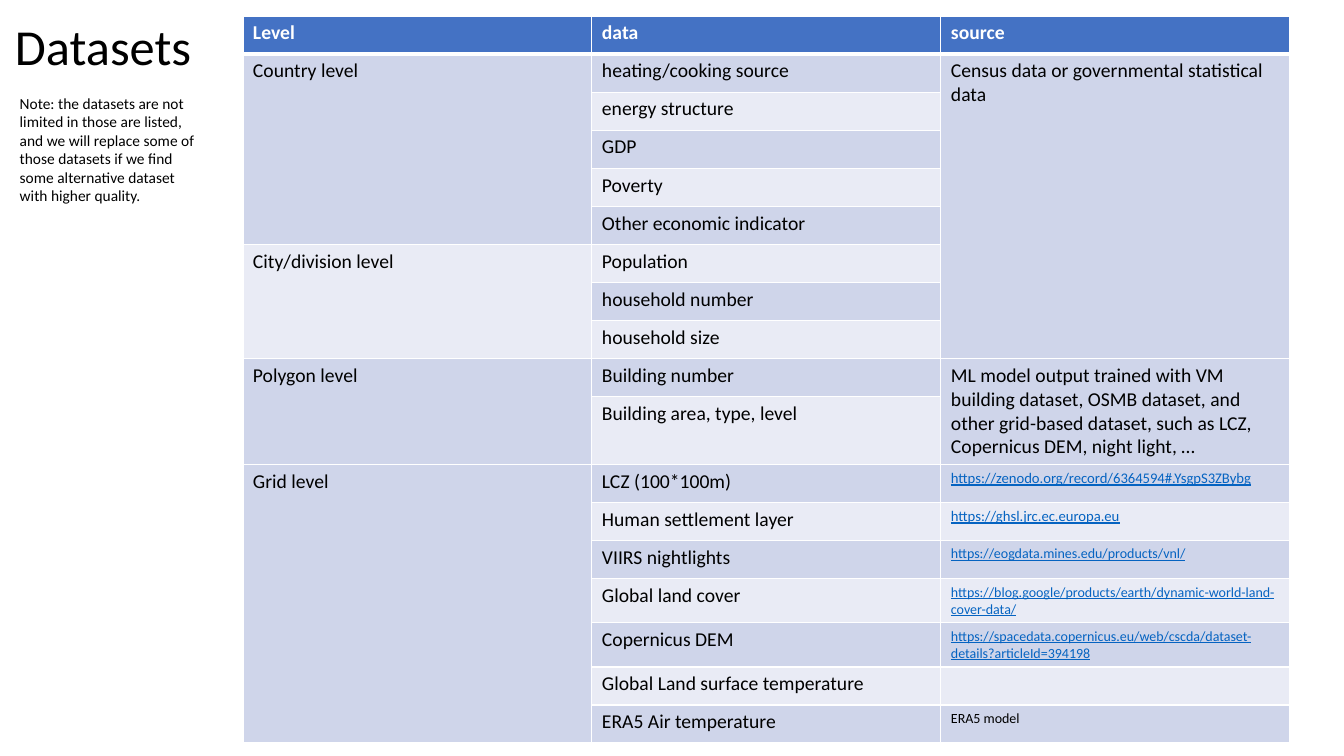
from lxml.etree import SubElement
from pptx import Presentation
from pptx.dml.color import RGBColor
from pptx.enum.text import MSO_ANCHOR
from pptx.oxml.ns import qn
from pptx.util import Pt

FONT = "Calibri"
WHITE = RGBColor(0xFF, 0xFF, 0xFF)
BLACK = RGBColor(0, 0, 0)
HEADER_BLUE = RGBColor(0x44, 0x72, 0xC4)
BAND_DARK = RGBColor(0xCF, 0xD5, 0xEA)
BAND_LIGHT = RGBColor(0xE9, 0xEB, 0xF5)
LINK_BLUE = RGBColor(0x05, 0x63, 0xC1)

TITLE = "Datasets"
NOTE = ("Note: the datasets are not limited in those are listed, and we will replace some of "
        "those datasets if we find some alternative dataset with higher quality.")
HEADER = ("Level", "data", "source")
LEVELS = [
    ("Country level", ["heating/cooking source", "energy structure", "GDP", "Poverty",
                       "Other economic indicator"]),
    ("City/division level", ["Population", "household number", "household size"]),
    ("Polygon level", ["Building number", "Building area, type, level"]),
    ("Grid level", ["LCZ (100*100m)", "Human settlement layer", "VIIRS nightlights",
                    "Global land cover", "Copernicus DEM",
                    "Global Land surface temperature", "ERA5 Air temperature"]),
]
SOURCES = [
    ("Census data or governmental statistical data", 14, 8),
    ("ML model output trained with VM building dataset, OSMB dataset, and other grid-based "
     "dataset, such as LCZ, Copernicus DEM, night light, …", 14, 2),
    ("https://zenodo.org/record/6364594#.YsgpS3ZBybg", 10.5, 1),
    ("https://ghsl.jrc.ec.europa.eu", 10.5, 1),
    ("https://eogdata.mines.edu/products/vnl/", 10, 1),
    ("https://blog.google/products/earth/dynamic-world-land-cover-data/", 10, 1),
    ("https://spacedata.copernicus.eu/web/cscda/dataset-details?articleId=394198", 10, 1),
    ("", 14, 1),
    ("ERA5 model", 10, 1),
]
ROW_HEIGHT = 27.2
TALL_ROWS = {10: 48.5, 14: 31.4, 15: 31.4}
COLUMN_WIDTH = 249.3


def add_text(para, text, size, color=BLACK, bold=False):
    span = para.add_run()
    span.text = text
    font = span.font
    font.name, font.size, font.bold = FONT, Pt(size), bold
    font.color.rgb = color
    return font


def add_box(page, left, top, width, height, text, size):
    frame = page.shapes.add_textbox(Pt(left), Pt(top), Pt(width), Pt(height)).text_frame
    frame.word_wrap = True
    add_text(frame.paragraphs[0], text, size)
    return frame


def style_cell(cell, row):
    properties = cell._tc.get_or_add_tcPr()
    widths = {"L": 1, "R": 1, "T": 3 if row == 1 else 1, "B": 3 if row == 0 else 1}
    for side, width in widths.items():
        line = SubElement(properties, qn(f"a:ln{side}"), w=str(Pt(width)))
        SubElement(SubElement(line, qn("a:solidFill")), qn("a:srgbClr"), val=str(WHITE))
    cell.fill.solid()
    cell.fill.fore_color.rgb = HEADER_BLUE if row == 0 else BAND_DARK if row % 2 else BAND_LIGHT


def fill_cell(grid, row, column, text, size=14, rows=1):
    cell = grid.cell(row, column)
    if rows > 1:
        cell.merge(grid.cell(row + rows - 1, column))
    if text:
        link = text.startswith("https://")
        color = WHITE if row == 0 else LINK_BLUE if link else BLACK
        add_text(cell.text_frame.paragraphs[0], text, size, color, row == 0).underline = link


def add_datasets_table(page):
    row_count = 1 + sum(len(items) for _, items in LEVELS)
    heights = [TALL_ROWS.get(row, ROW_HEIGHT) for row in range(row_count)]
    grid = page.shapes.add_table(row_count, len(HEADER), Pt(173.5), Pt(11.5),
                                 Pt(COLUMN_WIDTH * len(HEADER)), Pt(sum(heights))).table
    for column in grid.columns:
        column.width = Pt(COLUMN_WIDTH)
    for row, height in enumerate(heights):
        grid.rows[row].height = Pt(height)
        for cell in grid.rows[row].cells:
            style_cell(cell, row)

    for column, text in enumerate(HEADER):
        fill_cell(grid, 0, column, text)
    row = 1
    for level, items in LEVELS:
        fill_cell(grid, row, 0, level, rows=len(items))
        for item in items:
            fill_cell(grid, row, 1, item)
            row += 1
    row = 1
    for text, size, rows in SOURCES:
        fill_cell(grid, row, 2, text, size, rows)
        row += rows

    for cell in grid.iter_cells():
        para = cell.text_frame.paragraphs[0]
        if not para.runs:
            SubElement(para._p, qn("a:endParaRPr"), sz="1400")


def main():
    deck = Presentation()
    deck.slide_width, deck.slide_height = Pt(960), Pt(540)
    page = deck.slides.add_slide(deck.slide_layouts[6])
    add_datasets_table(page)
    title = add_box(page, 3.6, 11.5, 170, 47.5, TITLE, 36)
    title.vertical_anchor = MSO_ANCHOR.MIDDLE
    title.paragraphs[0].line_spacing = 0.9
    add_box(page, 7, 63.4, 146, 87, NOTE, 11)
    deck.save("out.pptx")


if __name__ == "__main__":
    main()
